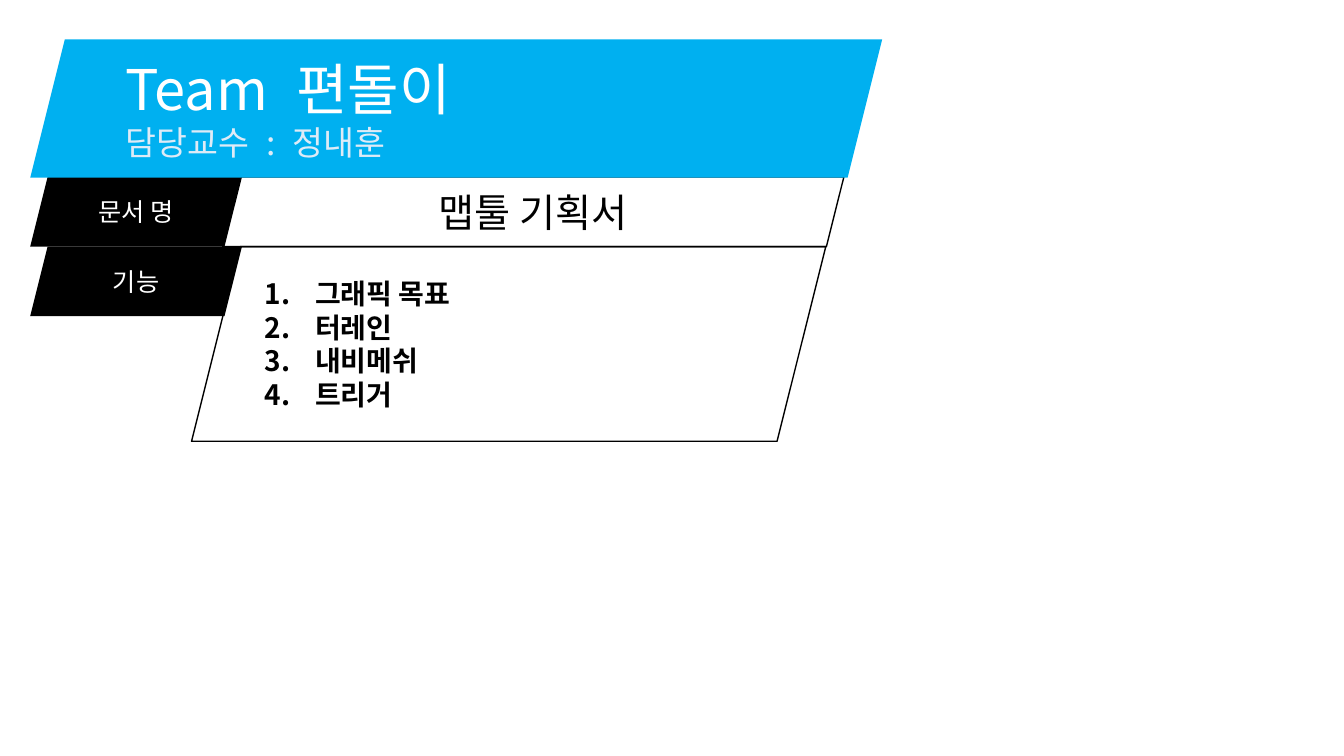
from dataclasses import dataclass
from typing import Optional

from pptx import Presentation
from pptx.dml.color import RGBColor
from pptx.enum.shapes import MSO_SHAPE
from pptx.enum.text import MSO_ANCHOR, PP_ALIGN
from pptx.oxml.ns import qn
from pptx.slide import Slide
from pptx.text.text import _Paragraph
from pptx.util import Inches, Pt
from lxml.etree import Element, SubElement


@dataclass(frozen=True)
class Theme:
    font: str = "Noto Sans CJK KR"
    black: str = "000000"
    white: str = "FFFFFF"
    blue: str = "00B0F0"
    pale: str = "DEEBF7"
    team_size: int = 40
    document_size: int = 28
    professor_size: int = 24
    feature_size: int = 20
    label_size: int = 18
    outline: int = 1


@dataclass(frozen=True)
class Line:
    text: str
    size: int
    color: str
    bold: bool = False


@dataclass(frozen=True)
class Panel:
    left: float
    row: float
    width: float
    height: float
    lines: tuple[Line, ...]
    fill: Optional[str] = None
    align: PP_ALIGN = PP_ALIGN.CENTER
    numbered: bool = False


THEME = Theme()
TOP = 0.39
ROW = 0.69
PITCH = 0.69
MARGIN = 0.3
LABEL_WIDTH = 2.1
NUMBER_INDENT = 0.5
WIDE_SPACE = "\u2002"


def label(text: str, row: float) -> Panel:
    line = Line(text, THEME.label_size, THEME.white)
    return Panel(MARGIN, row, LABEL_WIDTH, 1, (line,), THEME.black)


def number_paragraph(paragraph: _Paragraph) -> None:
    properties = paragraph._p.get_or_add_pPr()
    properties.set("marL", str(Inches(NUMBER_INDENT)))
    properties.set("indent", str(Inches(-NUMBER_INDENT)))
    numbering = Element(qn("a:buAutoNum"), type="arabicPeriod")
    properties.find(qn("a:defRPr")).addprevious(numbering)


def write_line(paragraph: _Paragraph, line: Line, align: PP_ALIGN) -> None:
    paragraph.text = line.text
    paragraph.alignment = align
    font = paragraph.font
    font.name = THEME.font
    font.size = Pt(line.size)
    font.bold = line.bold
    font.color.rgb = RGBColor.from_string(line.color)
    defaults = paragraph._p.pPr.find(qn("a:defRPr"))
    SubElement(defaults, qn("a:ea"), typeface=THEME.font)


def draw_panel(slide: Slide, panel: Panel) -> None:
    shape = slide.shapes.add_shape(
        MSO_SHAPE.PARALLELOGRAM,
        Inches(panel.left),
        Inches(TOP + panel.row * PITCH),
        Inches(panel.width),
        Inches(panel.height * ROW),
    )
    shape.shadow.inherit = False
    if panel.fill:
        shape.fill.solid()
        shape.fill.fore_color.rgb = RGBColor.from_string(panel.fill)
        shape.line.fill.background()
    else:
        shape.fill.background()
        shape.line.color.rgb = RGBColor.from_string(THEME.black)
        shape.line.width = Pt(THEME.outline)
    frame = shape.text_frame
    frame.word_wrap = True
    frame.vertical_anchor = MSO_ANCHOR.MIDDLE
    if panel.numbered:
        frame.margin_left = frame.margin_right = 0
        frame.margin_top = frame.margin_bottom = 0
    for index, line in enumerate(panel.lines):
        paragraph = frame.add_paragraph() if index else frame.paragraphs[0]
        write_line(paragraph, line, panel.align)
        if panel.numbered:
            number_paragraph(paragraph)


FEATURES = tuple(
    Line(text, THEME.feature_size, THEME.black, bold=True)
    for text in ("그래픽 목표", "터레인", "내비메쉬", "트리거")
)
DOCUMENT = Line("맵툴 기획서", THEME.document_size, THEME.black)
HEADING = (
    Line(WIDE_SPACE.join(("Team", "편돌이")), THEME.team_size, THEME.white),
    Line(WIDE_SPACE.join(("담당교수", ":", "정내훈")), THEME.professor_size, THEME.pale),
)
PANELS = (
    label("문서 명", 1.98),
    Panel(2.21, 1.98, 6.16, 1, (DOCUMENT,)),
    label("기능", 2.98),
    Panel(1.9, 2.98, 6.29, 2.8, FEATURES, align=PP_ALIGN.LEFT, numbered=True),
    Panel(MARGIN, 0, 8.45, 1.99, HEADING, THEME.blue, PP_ALIGN.LEFT),
)

presentation = Presentation()
presentation.slide_width = Inches(13.33)
presentation.slide_height = Inches(7.5)
cover = presentation.slides.add_slide(presentation.slide_layouts[6])
for panel in PANELS:
    draw_panel(cover, panel)
presentation.save("out.pptx")
